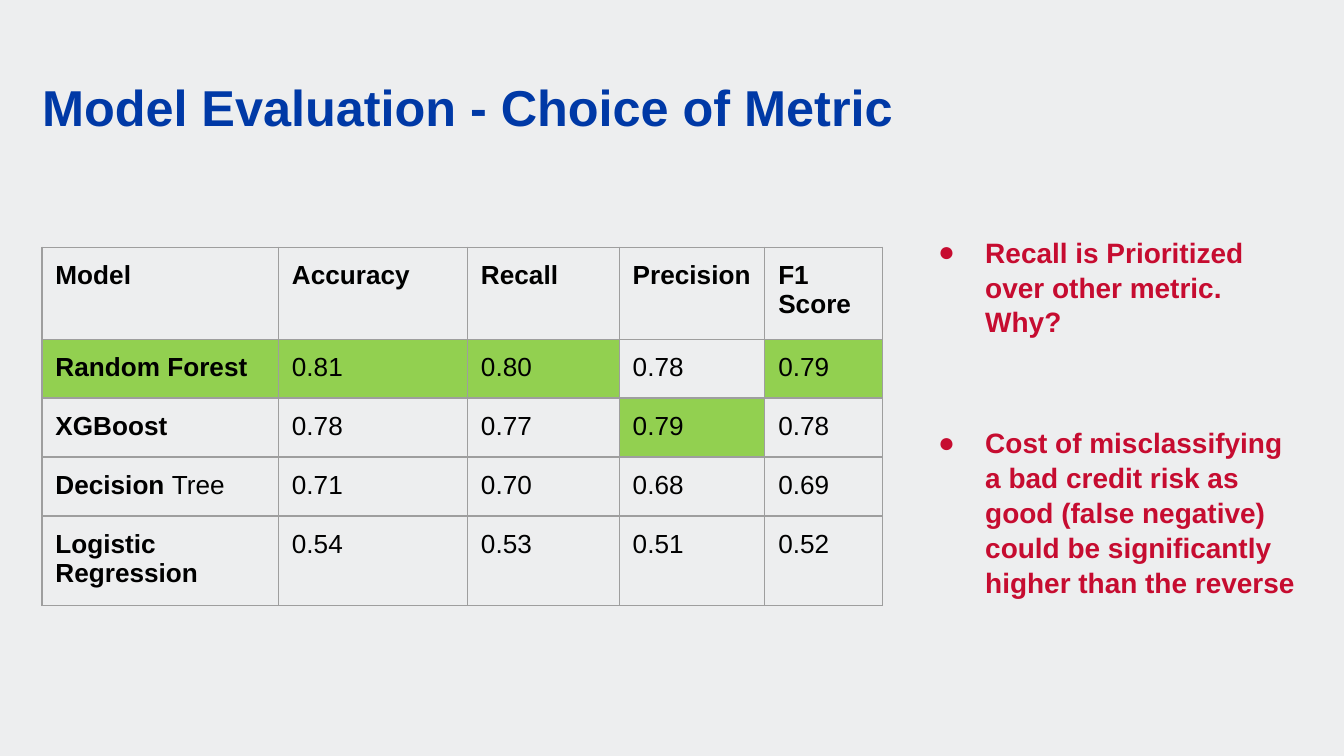
from dataclasses import dataclass

from lxml import etree
from pptx import Presentation
from pptx.dml.color import RGBColor
from pptx.enum import text
from pptx.oxml import ns
from pptx.util import Pt


@dataclass(frozen=True)
class Theme:
    font: str = "Arial"
    background: str = "EDEEEF"
    heading: str = "0039A6"
    accent: str = "C60C30"
    ink: str = "000000"
    best: str = "92D050"
    rule: str = "9E9E9E"
    heading_size: float = 27
    reason_size: float = 15
    score_size: float = 14


THEME = Theme()
HEADING = "Model Evaluation - Choice of Metric"
REASONS = [
    "Recall is Prioritized over other metric. Why?",
    "Cost of misclassifying a bad credit risk as good (false negative) "
    "could be significantly higher than the reverse",
]
METRICS = ["Model", "Accuracy", "Recall", "Precision", "F1 Score"]
SCORES = [
    ("Random Forest", "", "0.81", "0.80", "0.78", "0.79"),
    ("XGBoost", "", "0.78", "0.77", "0.79", "0.78"),
    ("Decision ", "Tree", "0.71", "0.70", "0.68", "0.69"),
    ("Logistic Regression", "", "0.54", "0.53", "0.51", "0.52"),
]
BEST_CELLS = {(1, 0), (1, 1), (1, 2), (1, 4), (2, 3)}

LEFT = 22.5
COLUMN_WIDTHS = [126.7, 101.3, 81.3, 78, 63.2]
ROW_HEIGHTS = [49.2, 31.6, 31.6, 31.6, 48]
CELL_MARGIN = 7.2
RULE_WIDTH = 0.75


def write(paragraph, words, size, color, bold=False, spacing=None, before=None):
    run = paragraph.add_run()
    run.text = words
    run.font.name = THEME.font
    run.font.size = Pt(size)
    run.font.bold = bold
    run.font.color.rgb = RGBColor.from_string(color)
    if spacing:
        paragraph.line_spacing = spacing
    if before:
        paragraph.space_before = Pt(before)


def add_frame(slide, left, top, width, height, anchor):
    frame = slide.shapes.add_textbox(Pt(left), Pt(top), Pt(width), Pt(height)).text_frame
    frame.word_wrap = True
    frame.vertical_anchor = anchor
    frame.margin_left = frame.margin_right = frame.margin_top = frame.margin_bottom = 0
    return frame


def add_bullet(paragraph, color, margin=36, indent=-25.2):
    properties = paragraph._p.get_or_add_pPr()
    properties.set("marL", str(Pt(margin)))
    properties.set("indent", str(Pt(indent)))
    bullet_color = etree.SubElement(properties, ns.qn("a:buClr"))
    etree.SubElement(bullet_color, ns.qn("a:srgbClr"), val=color)
    etree.SubElement(properties, ns.qn("a:buFont"), typeface=THEME.font)
    etree.SubElement(properties, ns.qn("a:buChar"), char="●")


def format_cell(cell, best):
    cell.margin_left = cell.margin_right = Pt(CELL_MARGIN)
    cell.margin_top = cell.margin_bottom = Pt(CELL_MARGIN)
    properties = cell._tc.get_or_add_tcPr()
    for side in ("lnL", "lnR", "lnT", "lnB"):
        border = etree.SubElement(properties, ns.qn(f"a:{side}"), w=str(Pt(RULE_WIDTH)))
        paint = etree.SubElement(border, ns.qn("a:solidFill"))
        etree.SubElement(paint, ns.qn("a:srgbClr"), val=THEME.rule)
    if best:
        cell.fill.solid()
        cell.fill.fore_color.rgb = RGBColor.from_string(THEME.best)
    else:
        cell.fill.background()


def add_scores(slide):
    table = slide.shapes.add_table(
        len(ROW_HEIGHTS), len(COLUMN_WIDTHS), Pt(LEFT), Pt(132.5),
        Pt(sum(COLUMN_WIDTHS)), Pt(sum(ROW_HEIGHTS)),
    ).table
    table.first_row = table.horz_banding = False
    for column, width in zip(table.columns, COLUMN_WIDTHS):
        column.width = Pt(width)
    for row, height in zip(table.rows, ROW_HEIGHTS):
        row.height = Pt(height)

    grid = [[[(metric, True)] for metric in METRICS]]
    for strong, plain, *values in SCORES:
        model = [(strong, True)] + ([(plain, False)] if plain else [])
        grid.append([model] + [[(value, False)] for value in values])
    for r, row in enumerate(grid):
        for c, pieces in enumerate(row):
            cell = table.cell(r, c)
            format_cell(cell, (r, c) in BEST_CELLS)
            for words, bold in pieces:
                write(cell.text_frame.paragraphs[0], words,
                      size=THEME.score_size, color=THEME.ink, bold=bold)


def main():
    deck = Presentation()
    deck.slide_width, deck.slide_height = Pt(720), Pt(405)
    slide = deck.slides.add_slide(deck.slide_layouts[6])
    slide.background.fill.solid()
    slide.background.fill.fore_color.rgb = RGBColor.from_string(THEME.background)

    heading = add_frame(slide, LEFT, 44, 675, 29.5, text.MSO_ANCHOR.BOTTOM)
    write(heading.paragraphs[0], HEADING, size=THEME.heading_size,
          color=THEME.heading, bold=True, spacing=0.9)

    add_scores(slide)

    reasons = add_frame(slide, 491.8, 125.3, 206, 225.4, text.MSO_ANCHOR.TOP)
    for i, reason in enumerate(REASONS):
        paragraph = reasons.add_paragraph() if i else reasons.paragraphs[0]
        add_bullet(paragraph, THEME.accent)
        write(paragraph, reason, size=THEME.reason_size, color=THEME.accent,
              bold=True, spacing=1.04, before=46 if i else None)

    deck.save("out.pptx")


if __name__ == "__main__":
    main()
